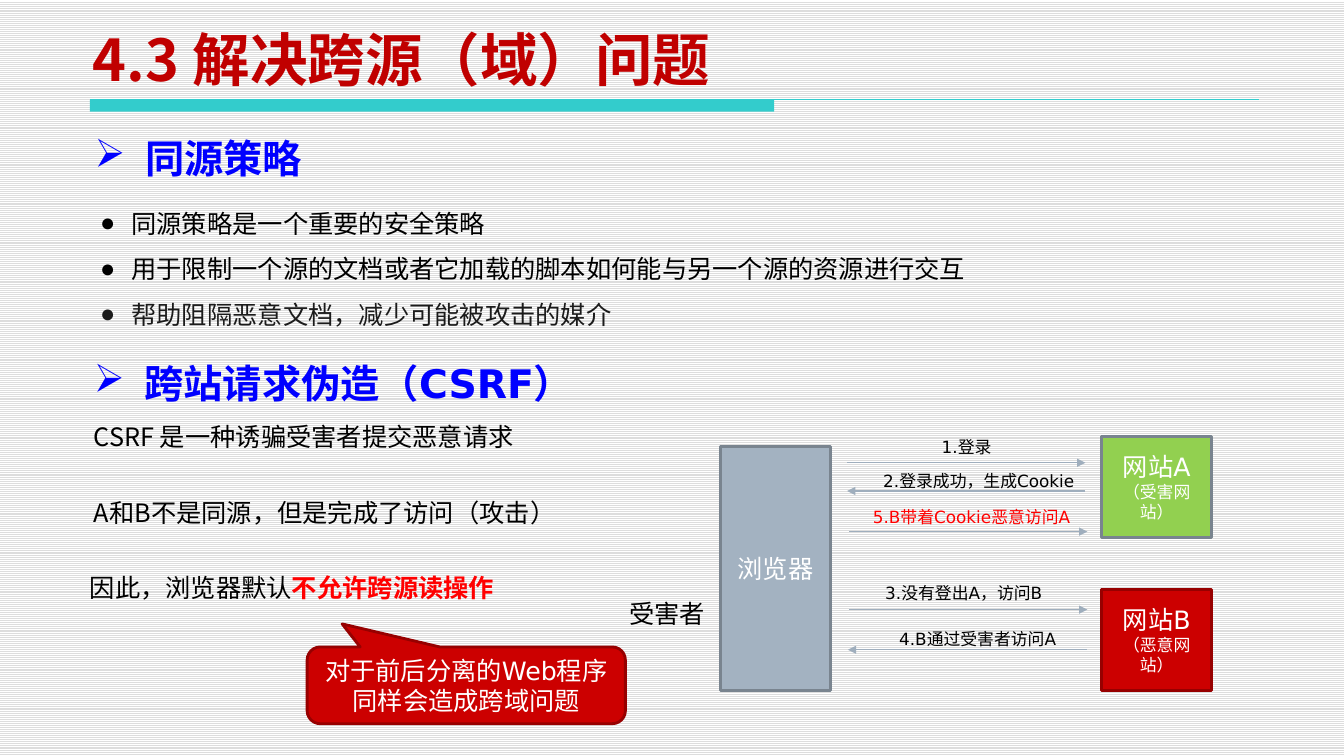
"""Build the slide on the same-origin policy and cross-site request forgery."""
import pptx
import pptx.dml.color
import pptx.enum.dml
import pptx.enum.shapes
import pptx.enum.text
import pptx.oxml.ns
import pptx.util
from lxml import etree

Cm, Pt = pptx.util.Cm, pptx.util.Pt
SHAPES = pptx.enum.shapes.MSO_SHAPE
ALIGN = pptx.enum.text.PP_ALIGN
ANCHOR = pptx.enum.text.MSO_ANCHOR
qn = pptx.oxml.ns.qn

CJK, SANS, INTER = "Noto Sans CJK SC", "DejaVu Sans", "Inter"
COLORS = {
    "title": "C00000", "heading": "0000FF", "text": "000000", "soft": "1B1B1B",
    "alert": "FF0000", "white": "FFFFFF", "stripe": "DDDDDD", "rule": "33CCCC",
    "browser": "A3B2C1", "safe": "92D050", "danger": "CC0000",
    "edge": "79848F", "danger_edge": "970000", "arrow": "9FAEBD",
}

TITLE = "4.3 解决跨源（域）问题"
HEADING = dict(size=28, color="heading", bold=True, align=ALIGN.JUSTIFY,
               bullet="➢", indent=1.27)
POINT = dict(spacing=1.5, bullet="●", indent=0.79)
POLICY = [
    dict(text="同源策略是一个重要的安全策略", **POINT),
    dict(text="用于限制一个源的文档或者它加载的脚本如何能与另一个源的资源进行交互", **POINT),
    dict(text="帮助阻隔恶意文档，减少可能被攻击的媒介", font=INTER, color="soft", **POINT),
]
TEXTS = [
    ((2.13, 3.25, 21.6, 1.47), [dict(text="同源策略", **HEADING)]),
    ((2.11, 8.31, 24, 5.36), [
        dict(text="跨站请求伪造（CSRF）", spacing=1.5, **HEADING),
        dict(text="CSRF 是一种诱骗受害者提交恶意请求", font=CJK, spacing=1.5)]),
    ((2.11, 11.99, 13, 1.24), [
        dict(text="A和B不是同源，但是完成了访问（攻击）", font=CJK, spacing=1.5)]),
    ((2.01, 13.87, 11.25, 1.24), [
        dict(text="因此，浏览器默认", emphasis="不允许跨源读操作", spacing=1.5)]),
    ((15.57, 14.91, 3.23, 1.02), [dict(text="受害者")]),
]
WHITE = dict(color="white", align=ALIGN.CENTER)
BOXES = [
    (SHAPES.RECTANGLE, (18.11, 11.23, 2.77, 6.12), "browser", "edge",
     [dict(text="浏览器", **WHITE)]),
    (SHAPES.RECTANGLE, (27.69, 10.97, 2.77, 2.54), "safe", "edge",
     [dict(text="网站A", **WHITE), dict(text="（受害网站）", size=12, **WHITE)]),
    (SHAPES.RECTANGLE, (27.69, 14.81, 2.77, 2.54), "danger", "danger_edge",
     [dict(text="网站B", **WHITE), dict(text="（恶意网站）", size=12, **WHITE)]),
    (SHAPES.ROUNDED_RECTANGULAR_CALLOUT, (7.72, 16.26, 8, 1.93), "danger", "danger_edge",
     [dict(text="对于前后分离的Web程序同样会造成跨域问题", **WHITE)]),
]
CALLOUT_POINTER = (-0.39, -0.8, 0.17)
LABEL_HEIGHT = 0.76
MESSAGES = [
    ("1.登录", "text", (21.29, 27.28, 11.63), (23.42, 10.85, 3.23)),
    ("2.登录成功，生成Cookie", "text", (27.28, 21.29, 12.34), (21.95, 11.71, 5.72)),
    ("3.没有登出A，访问B", "text", (21.34, 27.33, 15.32), (22, 14.53, 6.1)),
    ("4.B通过受害者访问A", "text", (27.31, 21.31, 16.33), (22.35, 15.67, 5.72)),
    ("5.B带着Cookie恶意访问A", "alert", (21.34, 27.33, 13.36), (21.69, 12.6, 5.64)),
]


def rgb(name):
    return pptx.dml.color.RGBColor.from_string(COLORS[name])


def lengths(values):
    return [Cm(value) for value in values]


def write(frame, paragraphs):
    frame.word_wrap = True
    for number, content in enumerate(paragraphs):
        paragraph = frame.paragraphs[0] if number == 0 else frame.add_paragraph()
        write_paragraph(paragraph, **content)


def write_paragraph(paragraph, text, size=18, color="text", font=SANS, bold=False,
                    align=ALIGN.LEFT, spacing=1.0, bullet=None, indent=0, emphasis=None):
    paragraph.add_run().text = text
    paragraph.alignment = align
    paragraph.line_spacing = spacing
    paragraph.space_before = Pt(0)
    properties = paragraph._p.get_or_add_pPr()
    if bullet:
        properties.set("marL", str(Cm(indent)))
        properties.set("indent", str(-Cm(indent)))
        etree.SubElement(properties, qn("a:buChar")).set("char", bullet)
    paragraph.font.size = Pt(size)
    paragraph.font.bold = bold
    paragraph.font.color.rgb = rgb(color)
    paragraph.font.name = font
    east_asian = etree.SubElement(properties.find(qn("a:defRPr")), qn("a:ea"))
    east_asian.set("typeface", CJK)
    if emphasis:
        run = paragraph.add_run()
        run.text = emphasis
        run.font.bold = True
        run.font.color.rgb = rgb("alert")


def add_text(shapes, place, paragraphs):
    write(shapes.add_textbox(*lengths(place)).text_frame, paragraphs)


def add_box(shapes, kind, place, fill, edge=None):
    box = shapes.add_shape(kind, *lengths(place))
    box.shadow.inherit = False
    box.fill.solid()
    box.fill.fore_color.rgb = rgb(fill)
    if edge:
        box.line.color.rgb = rgb(edge)
        box.line.width = Pt(2)
    else:
        box.line.fill.background()
    return box


def add_line(shapes, start, end, y, color, arrow=False):
    line = shapes.add_connector(pptx.enum.shapes.MSO_CONNECTOR.STRAIGHT,
                                *lengths((start, y, end, y)))
    line.line.color.rgb = rgb(color)
    line.line.width = Pt(0.75)
    if arrow:
        etree.SubElement(line.line._get_or_add_ln(), qn("a:tailEnd")).set("type", "triangle")
    etree.SubElement(line._element.spPr, qn("a:effectLst"))


def main():
    deck = pptx.Presentation()
    deck.slide_width, deck.slide_height = lengths((33.78, 19))
    slide = deck.slides.add_slide(deck.slide_layouts[1])
    shapes = slide.shapes

    backdrop = slide.background.fill
    backdrop.patterned()
    backdrop.pattern = pptx.enum.dml.MSO_PATTERN.LIGHT_HORIZONTAL
    backdrop.fore_color.rgb = rgb("stripe")
    backdrop.back_color.rgb = rgb("white")

    add_box(shapes, SHAPES.RECTANGLE, (2.26, 2.51, 17.2, 0.3), "rule")
    add_line(shapes, 2.26, 31.65, 2.51, "rule")

    title, policy = shapes.title, slide.placeholders[1]
    title.left, title.top, title.width, title.height = lengths((2.08, 0.71, 24.6, 1.75))
    title.text_frame.vertical_anchor = ANCHOR.BOTTOM
    write(title.text_frame, [dict(text=TITLE, size=41, color="title", font=CJK, bold=True)])
    policy.left, policy.top, policy.width, policy.height = lengths((2.26, 4.72, 29, 3.56))
    write(policy.text_frame, POLICY)

    for place, paragraphs in TEXTS:
        add_text(shapes, place, paragraphs)

    for kind, place, fill, edge, paragraphs in BOXES:
        box = add_box(shapes, kind, place, fill, edge)
        box.text_frame.vertical_anchor = ANCHOR.MIDDLE
        write(box.text_frame, paragraphs)
        if kind == SHAPES.ROUNDED_RECTANGULAR_CALLOUT:
            for number, value in enumerate(CALLOUT_POINTER):
                box.adjustments[number] = value

    for label, color, (start, end, y), (left, top, width) in MESSAGES:
        message = shapes.add_group_shape().shapes
        add_line(message, start, end, y, "arrow", arrow=True)
        add_text(message, (left, top, width, LABEL_HEIGHT),
                 [dict(text=label, size=12, color=color)])

    deck.save("out.pptx")


if __name__ == "__main__":
    main()
